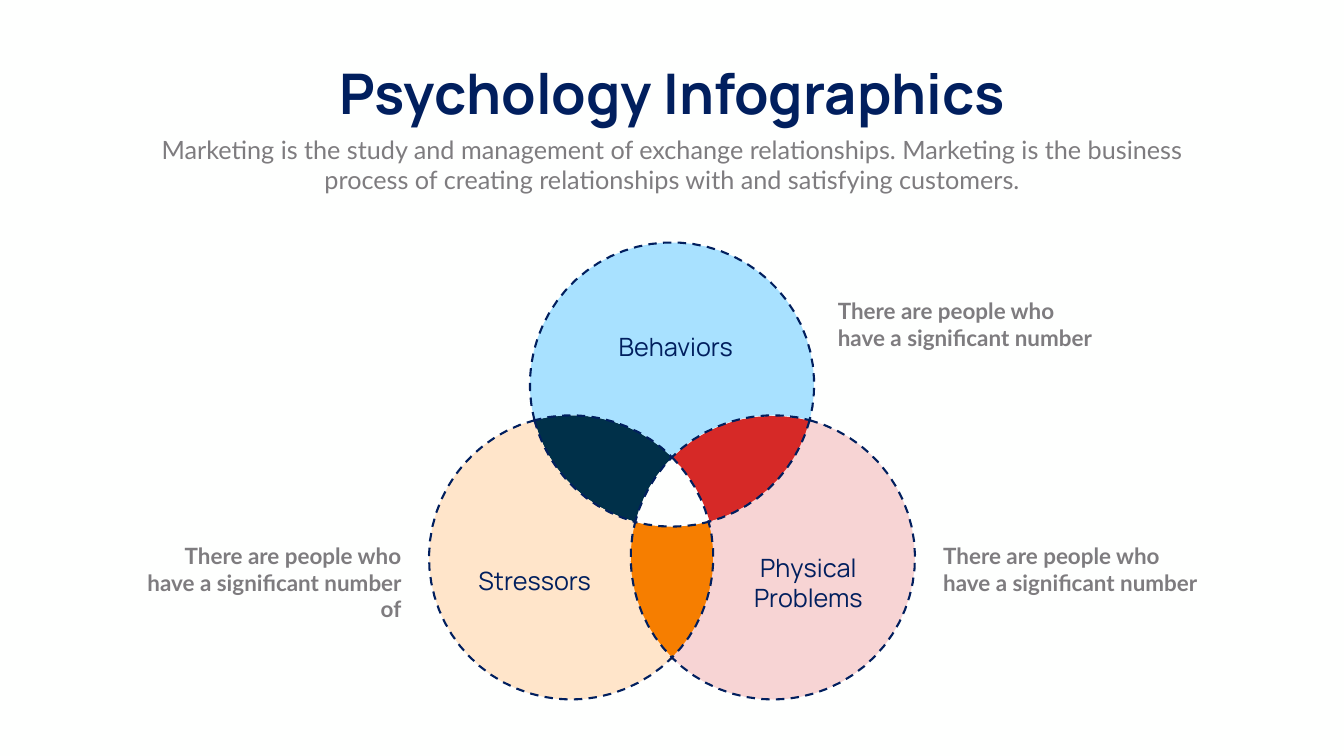
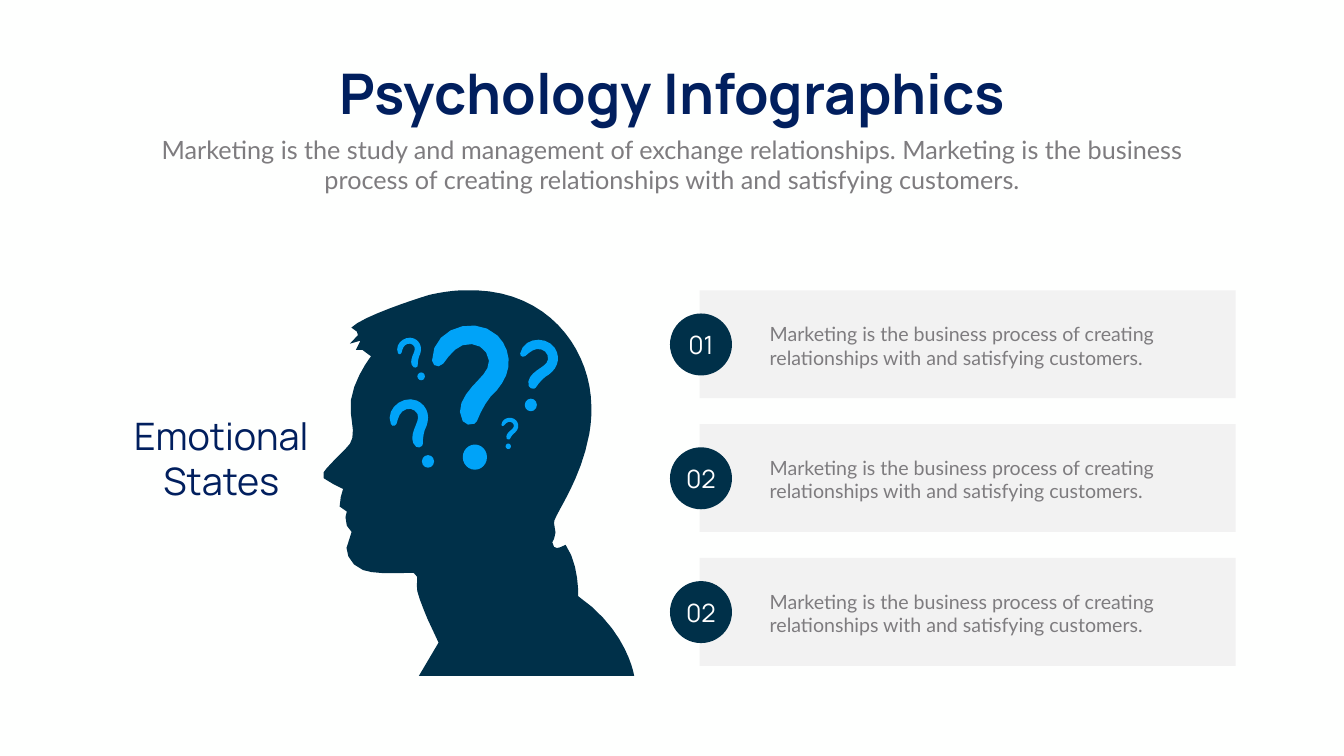
from dataclasses import dataclass
from math import atan2, ceil, copysign, cos, hypot, pi, remainder, sin, tau

from pptx import Presentation
from pptx.dml.color import RGBColor
from pptx.enum.dml import MSO_LINE
from pptx.enum.shapes import MSO_SHAPE
from pptx.enum.text import MSO_ANCHOR, MSO_AUTO_SIZE, PP_ALIGN
from pptx.util import Inches, Pt

LEFT, CENTER, RIGHT = PP_ALIGN.LEFT, PP_ALIGN.CENTER, PP_ALIGN.RIGHT
TOP, MIDDLE = MSO_ANCHOR.TOP, MSO_ANCHOR.MIDDLE
FIT = MSO_AUTO_SIZE.SHAPE_TO_FIT_TEXT
RECT, OVAL = MSO_SHAPE.RECTANGLE, MSO_SHAPE.OVAL
DASH = MSO_LINE.DASH

NAVY, GRAY, WHITE, PAPER = "011F5E", "7E7C7F", "FFFFFF", "FEFFFE"
DARK, RED, ORANGE = "003049", "D62927", "F67E00"
SKY, PEACH, PINK = "A8E1FF", "FFE5CA", "F7D4D4"
BLUE, BAND = "00A3F8", "F2F2F2"
HEAD_FONT, BODY_FONT = "Manrope", "Lato"

TITLE = "Psychology Infographics"
INTRO = ("Marketing is the study and management of exchange relationships. "
         "Marketing is the business process of creating relationships with and "
         "satisfying customers.")
STEP = "Marketing is the business process of creating relationships with and satisfying customers."
CLAIM = "There are people who have a significant number"

Point = tuple[float, float]


@dataclass
class Style:
    font: str
    size: int
    color: str
    bold: bool = False
    align: PP_ALIGN = CENTER


@dataclass
class Label:
    left: float
    top: float
    width: float
    height: float
    text: str
    style: Style


@dataclass
class Arc:
    center: Point
    start: Point
    end: Point
    long: bool = False


@dataclass
class Part:
    fill: str | None
    arcs: list[Arc]


@dataclass
class Lens:
    left: float
    top: float
    turn: int
    fill: str


@dataclass
class Mark:
    hook: Point
    dot: Point
    scale: float
    turn: float


HEADING = Style(HEAD_FONT, 80, NAVY, True)
LEAD = Style(BODY_FONT, 36, GRAY)
TOPIC = Style(HEAD_FONT, 36, NAVY)
STATE = Style(HEAD_FONT, 54, NAVY)
NUMBER = Style(HEAD_FONT, 36, WHITE)
NOTE = Style(BODY_FONT, 32, GRAY, True, LEFT)
NOTE_R = Style(BODY_FONT, 32, GRAY, True, RIGHT)
DETAIL = Style(BODY_FONT, 28, GRAY, align=LEFT)

RADIUS = 2.82
A, B, C = (13.33, 7.63), (11.33, 11.06), (15.33, 11.06)
AB_OUT, AB_IN = (10.6, 8.34), (12.6, 10.36)
AC_OUT, AC_IN = (16.06, 8.34), (14.06, 10.36)
BC_OUT, BC_IN = (13.33, 13.05), (13.33, 9.07)

LENS_ARCS = [Arc(B, AB_OUT, BC_IN), Arc(C, BC_IN, AB_IN), Arc(A, AB_IN, AB_OUT)]
LENSES = [Lens(12.1, 10.37, 240, ORANGE), Lens(13.2, 8, 120, RED),
          Lens(10.6, 8.24, 0, DARK)]
PARTS = [
    Part(SKY, [Arc(A, AB_OUT, AC_OUT, True), Arc(C, AC_OUT, BC_IN),
               Arc(B, BC_IN, AB_OUT)]),
    Part(PEACH, [Arc(A, AB_OUT, AB_IN), Arc(C, AB_IN, BC_OUT),
                 Arc(B, BC_OUT, AB_OUT, True)]),
    Part(PINK, [Arc(C, AC_OUT, BC_OUT, True), Arc(B, BC_OUT, AC_IN),
                Arc(A, AC_IN, AC_OUT)]),
    Part(None, [Arc(B, BC_IN, AC_IN), Arc(A, AC_IN, AB_IN), Arc(C, AB_IN, BC_IN)]),
]
LABELS = [
    Label(2.71, 10.7, 5.35, 1.18, CLAIM + " of", NOTE_R),
    Label(18.61, 10.7, 5.35, 1.18, CLAIM, NOTE),
    Label(16.52, 5.85, 5.35, 1.18, CLAIM, NOTE),
    Label(9.01, 11.17, 3.19, 0.71, "Stressors", TOPIC),
    Label(14.44, 10.9, 3.19, 1.31, "Physical Problems", TOPIC),
    Label(11.81, 6.53, 3.19, 0.71, "Behaviors", TOPIC),
]

HEAD = [
    (9.45, 5.76), (10.94, 5.82, 11.71, 6.98, 11.73, 8.04),
    (11.74, 8.24, 11.72, 8.43, 11.69, 8.61), (11.61, 8.95),
    (11.39, 9.74, 10.96, 10.28, 10.99, 10.38),
    (11.05, 10.52, 11.01, 10.64, 10.99, 10.69),
    (10.96, 10.73, 10.93, 10.78, 10.99, 10.85),
    (11.02, 10.88, 11.07, 10.88, 11.11, 10.86), (11.22, 10.81),
    (11.49, 11.19, 11.47, 11.83, 11.47, 11.83),
    (12.45, 12.51, 12.58, 13.41, 12.58, 13.41), (8.31, 13.41), (8.7, 12.75),
    (8.48, 12.28), (8.37, 12.01, 8.25, 11.72, 8.27, 11.63),
    (8.32, 11.46, 8.26, 11.4, 8.21, 11.37),
    (8.16, 11.35, 7.48, 11.42, 7.2, 11.31),
    (6.92, 11.21, 6.8, 10.88, 6.92, 10.73),
    (7.04, 10.58, 6.96, 10.51, 6.88, 10.43),
    (6.81, 10.35, 6.88, 10.15, 6.88, 10.15),
    (6.76, 10.13, 6.66, 10, 6.76, 9.86), (6.86, 9.71, 6.83, 9.67, 6.62, 9.61),
    (6.4, 9.55, 6.38, 9.43, 6.42, 9.37), (6.45, 9.31, 6.68, 9.08, 6.85, 8.91),
    (6.93, 8.83, 6.97, 8.78, 6.99, 8.69), (7, 8.53),
    (6.99, 8.45, 6.98, 8.34, 6.96, 8.2), (6.88, 7.68, 7.36, 7.07, 7.36, 7.07),
    (7.27, 6.9, 7.09, 6.94, 7.06, 6.94), (7.15, 6.76), (6.94, 6.82),
    (7.1, 6.65), (7.08, 6.58), (6.97, 6.5),
    (7.23, 6.24, 8.52, 5.85, 8.52, 5.85), (8.74, 5.8, 8.95, 5.77, 9.14, 5.76),
]
HOOK = [
    (9.87, 6.66), (9.43, 6.24, 8.56, 6.51, 8.57, 7.16),
    (8.58, 7.23, 8.63, 7.28, 8.7, 7.27), (8.79, 7.22),
    (8.93, 7.03, 9.09, 6.8, 9.36, 6.83), (9.54, 6.84, 9.68, 6.98, 9.7, 7.16),
    (9.7, 7.33, 9.59, 7.43, 9.49, 7.54), (9.29, 7.75, 9, 8.05, 9.18, 8.36),
    (9.23, 8.43, 9.33, 8.45, 9.41, 8.41), (9.46, 8.36),
    (9.53, 8.18, 9.62, 8.01, 9.74, 7.86), (9.87, 7.75, 9.97, 7.61, 10.04, 7.45),
    (10.15, 7.18, 10.08, 6.87, 9.87, 6.66),
]
DOT_WIDTH, DOT_HEIGHT = 0.48, 0.5
MARKS = [
    Mark((8.57, 6.46), (9.18, 8.82), 1, 0),
    Mark((10.28, 6.74), (10.41, 7.91), 0.5, 12.3),
    Mark((7.78, 7.92), (8.37, 9.03), 0.5, 338.8),
    Mark((7.91, 6.7), (8.28, 7.39), 0.31, 338.8),
    Mark((9.94, 8.29), (10.03, 8.8), 0.22, 6),
]
FIRST_ROW, ROW_STEP = 5.76, 2.655


def rgb(color: str) -> RGBColor:
    return RGBColor.from_string(color)


def paint(shape, fill: str | None, line: str | None = None) -> None:
    shape.shadow.inherit = False
    if fill:
        shape.fill.solid()
        shape.fill.fore_color.rgb = rgb(fill)
    else:
        shape.fill.background()
    if line:
        shape.line.color.rgb = rgb(line)
        shape.line.width = Pt(3)
        shape.line.dash_style = DASH
    else:
        shape.line.fill.background()


def place(shape, left: float, top: float, turn: float = 0) -> None:
    shape.left, shape.top = Inches(left), Inches(top)
    shape.rotation = turn


def write(shape, text: str, style: Style, anchor: MSO_ANCHOR = TOP,
          wrap: bool = True) -> None:
    frame = shape.text_frame
    frame.word_wrap = wrap
    frame.vertical_anchor = anchor
    para = frame.paragraphs[0]
    para.text = text
    para.alignment = style.align
    font = para.font
    font.name, font.size, font.bold = style.font, Pt(style.size), style.bold
    font.color.rgb = rgb(style.color)


def add_label(slide, label: Label) -> None:
    box = slide.shapes.add_textbox(Inches(label.left), Inches(label.top),
                                   Inches(label.width), Inches(label.height))
    write(box, label.text, label.style)
    box.text_frame.auto_size = FIT


def add_form(slide, kind: MSO_SHAPE, left: float, top: float, width: float,
             height: float, fill: str):
    shape = slide.shapes.add_shape(kind, Inches(left), Inches(top),
                                   Inches(width), Inches(height))
    paint(shape, fill)
    return shape


def add_free(slide, points: list[Point], scale: float = 1):
    spots = [(Inches(x * scale), Inches(y * scale)) for x, y in points]
    build = slide.shapes.build_freeform(*spots[0])
    build.add_line_segments(spots[1:], close=True)
    return build.convert_to_shape()


def trace_arcs(arcs: list[Arc], pace: float = 0.1) -> list[Point]:
    points = []
    for arc in arcs:
        x, y = arc.center
        first, last = (atan2(py - y, px - x) for px, py in (arc.start, arc.end))
        sweep = remainder(last - first, tau)
        if arc.long:
            sweep -= copysign(2 * pi, sweep)
        steps = ceil(abs(sweep) / pace)
        for i in range(steps):
            angle = first + sweep * i / steps
            points.append((x + RADIUS * cos(angle), y + RADIUS * sin(angle)))
    return points


def trace_curves(parts: list[tuple], pace: float = 0.2) -> list[Point]:
    points = [parts[0]]
    for part in parts[1:]:
        if len(part) == 2:
            points.append(part)
            continue
        x0, y0 = points[-1]
        x1, y1, x2, y2, x3, y3 = part
        steps = max(2, ceil(hypot(x3 - x0, y3 - y0) / pace))
        for i in range(1, steps + 1):
            t = i / steps
            u = 1 - t
            a, b, c, d = u ** 3, 3 * u * u * t, 3 * u * t * t, t ** 3
            points.append((a * x0 + b * x1 + c * x2 + d * x3,
                           a * y0 + b * y1 + c * y2 + d * y3))
    return points


def add_slide(deck):
    slide = deck.slides.add_slide(deck.slide_layouts[5])
    title = slide.shapes.title
    place(title, 6.08, 1.12)
    title.width, title.height = Inches(14.51), Inches(1.45)
    write(title, TITLE, HEADING, wrap=False)
    title.text_frame.auto_size = FIT
    add_label(slide, Label(2.92, 2.61, 20.82, 1.31, INTRO, LEAD))
    return slide


def draw_venn(deck) -> None:
    slide = add_slide(deck)
    for lens in LENSES:
        shape = add_free(slide, trace_arcs(LENS_ARCS))
        place(shape, lens.left, lens.top, lens.turn)
        paint(shape, lens.fill)
    for part in PARTS:
        paint(add_free(slide, trace_arcs(part.arcs)), part.fill, NAVY)
    for label in LABELS:
        add_label(slide, label)


def draw_mind(deck) -> None:
    slide = add_slide(deck)
    paint(add_free(slide, trace_curves(HEAD)), DARK)
    for mark in MARKS:
        hook = add_free(slide, trace_curves(HOOK), mark.scale)
        place(hook, *mark.hook, mark.turn)
        paint(hook, BLUE)
        add_form(slide, OVAL, *mark.dot, DOT_WIDTH * mark.scale,
                 DOT_HEIGHT * mark.scale, BLUE)
    add_label(slide, Label(2.15, 8.13, 4.48, 1.92, "Emotional States", STATE))
    for row, text in enumerate(("01", "02", "02")):
        top = FIRST_ROW + row * ROW_STEP
        add_form(slide, RECT, 13.88, top, 10.63, 2.14, BAND)
        badge = add_form(slide, OVAL, 13.29, top + 0.46, 1.23, 1.23, DARK)
        write(badge, text, NUMBER, MIDDLE, False)
        add_label(slide, Label(15.17, top + 0.58, 7.96, 1.04, STEP, DETAIL))


def main() -> None:
    deck = Presentation()
    deck.slide_width, deck.slide_height = Inches(26.66), Inches(15)
    back = deck.slide_master.background.fill
    back.solid()
    back.fore_color.rgb = rgb(PAPER)
    draw_venn(deck)
    draw_mind(deck)
    deck.save("out.pptx")


if __name__ == "__main__":
    main()
